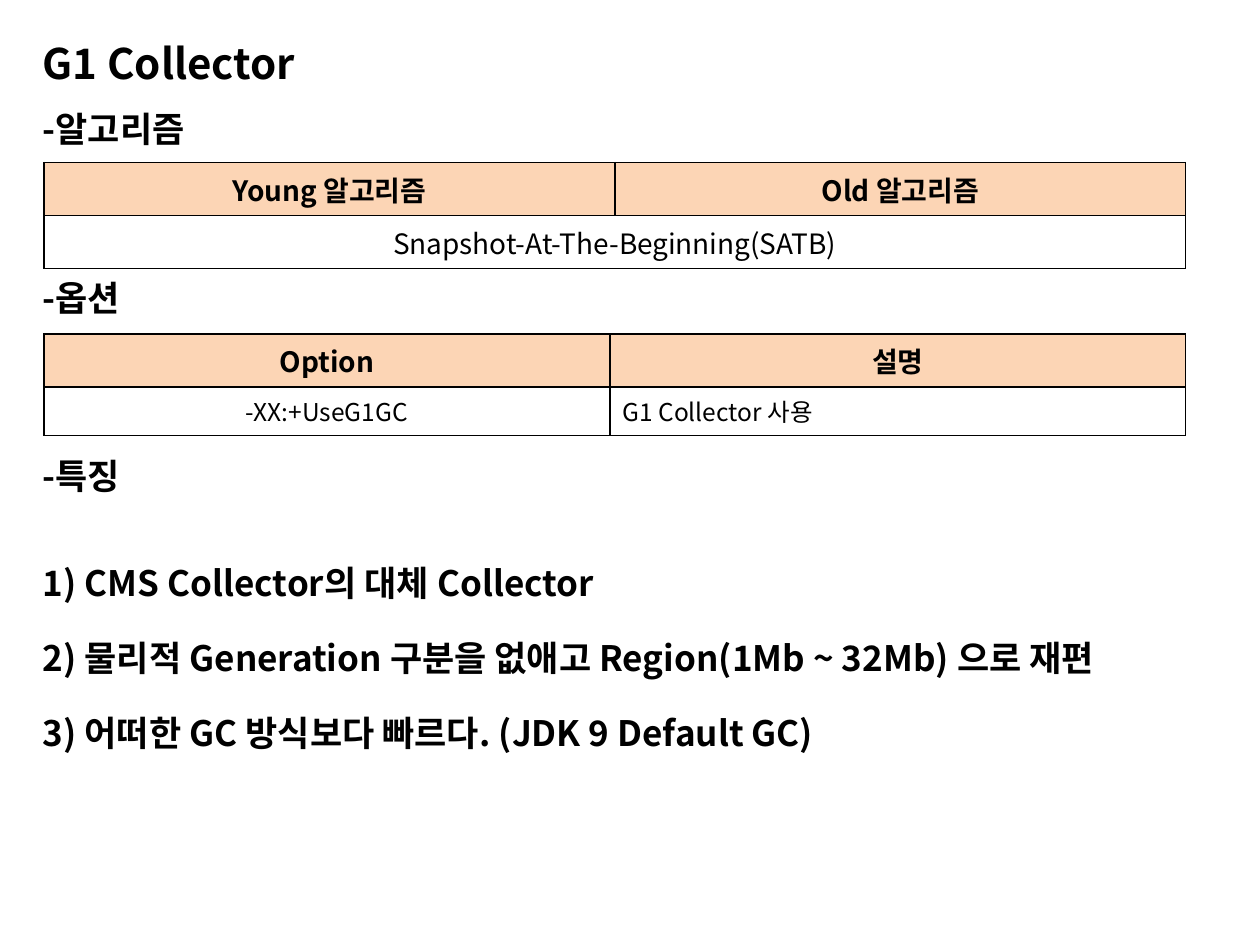
import pptx
import pptx.util
import pptx.dml.color
import pptx.enum.text
import pptx.oxml
import pptx.oxml.ns

Inches, Pt = pptx.util.Inches, pptx.util.Pt
Color = pptx.dml.color.RGBColor
Align = pptx.enum.text.PP_ALIGN
Anchor = pptx.enum.text.MSO_ANCHOR
Fit = pptx.enum.text.MSO_AUTO_SIZE

# Content
TITLE = "G1 Collector"
HEADS = [("-알고리즘", 0.76), ("-옵션", 2.1), ("-특징", 3.51)]
POINTS = [
    "1) CMS Collector의 대체 Collector",
    "2) 물리적 Generation 구분을 없애고 Region(1Mb ~ 32Mb) 으로 재편",
    "3) 어떠한 GC 방식보다 빠르다. (JDK 9 Default GC)",
]
TABLES = [
    {"top": 1.29, "cols": [4.53, 4.53], "rows": [0.41, 0.41], "style": "cell",
     "cells": [["Young 알고리즘", "Old 알고리즘"],
               ["Snapshot-At-The-Beginning(SATB)", None]],
     "align": [Align.CENTER, Align.CENTER]},
    {"top": 2.65, "cols": [4.49, 4.57], "rows": [0.41, 0.38], "style": "small",
     "cells": [["Option", "설명"], ["-XX:+UseG1GC", "G1 Collector 사용"]],
     "align": [Align.CENTER, Align.LEFT]},
]

# Theme
THEME = {
    "font": "Noto Sans CJK KR",
    "ink": Color.from_string("000000"),
    "head": Color.from_string("FCD5B5"),
    "plain": Color.from_string("FFFFFF"),
    "title": {"size": Pt(24), "bold": True},
    "text": {"size": Pt(20), "bold": True},
    "top": {"size": Pt(16), "bold": True},
    "cell": {"size": Pt(16), "bold": False},
    "small": {"size": Pt(14), "bold": False},
}
LEFT, INSET = 0.24, 0.35
GAP = Pt(19)


def apply(obj, vals):
    for key, val in vals.items():
        setattr(obj, key, val)


def write(para, text, style, align=Align.LEFT):
    apply(para, {"alignment": align, "space_before": Pt(0)})
    run = para.add_run()
    run.text = text
    apply(run.font, {"name": THEME["font"], **THEME[style]})
    run.font.color.rgb = THEME["ink"]
    east = pptx.oxml.parse_xml(
        f'<a:ea {pptx.oxml.ns.nsdecls("a")} typeface="{THEME["font"]}"/>')
    run.font._element.append(east)


def place(shape, left, top, width, height):
    apply(shape, {"left": Inches(left), "top": Inches(top),
                  "width": Inches(width), "height": Inches(height)})
    apply(shape.text_frame, {"word_wrap": True, "auto_size": Fit.NONE,
                             "vertical_anchor": Anchor.MIDDLE})


def border(cell):
    props = cell._tc.get_or_add_tcPr()
    for pos, side in enumerate("LRTB"):
        props.insert(pos, pptx.oxml.parse_xml(
            f'<a:ln{side} {pptx.oxml.ns.nsdecls("a")} w="{Pt(1)}"><a:solidFill>'
            f'<a:srgbClr val="{THEME["ink"]}"/></a:solidFill></a:ln{side}>'))


def grid(slide, data):
    cols, rows = data["cols"], data["rows"]
    table = slide.shapes.add_table(
        len(rows), len(cols), Inches(INSET), Inches(data["top"]),
        Inches(sum(cols)), Inches(sum(rows))).table
    for col, size in zip(table.columns, cols):
        col.width = Inches(size)
    for row, size in zip(table.rows, rows):
        row.height = Inches(size)
    for r, line in enumerate(data["cells"]):
        for c, text in enumerate(line):
            cell = table.cell(r, c)
            cell.vertical_anchor = Anchor.MIDDLE
            cell.fill.solid()
            cell.fill.fore_color.rgb = THEME["plain" if r else "head"]
            border(cell)
            if text is None:
                table.cell(r, c - 1).merge(cell)
            else:
                write(cell.text_frame.paragraphs[0], text,
                      data["style"] if r else "top",
                      data["align"][c] if r else Align.CENTER)


def main():
    deck = pptx.Presentation()
    apply(deck, {"slide_width": Inches(10), "slide_height": Inches(7.5)})
    slide = deck.slides.add_slide(deck.slide_layouts[1])

    # Title
    title = slide.shapes.title
    place(title, LEFT, 0.24, 3.66, 0.52)
    write(title.text_frame.paragraphs[0], TITLE, "title")

    # Tables and section heads
    for data in TABLES:
        grid(slide, data)
    for text, top in HEADS:
        box = slide.shapes.add_textbox(0, 0, 0, 0)
        place(box, LEFT, top, 2.01, 0.52)
        write(box.text_frame.paragraphs[0], text, "text")

    # Feature list
    body = slide.placeholders[1]
    place(body, LEFT, 3.7, 9.49, 3.04)
    frame = body.text_frame
    for num, text in enumerate(POINTS):
        para = frame.add_paragraph() if num else frame.paragraphs[0]
        write(para, text, "text")
        if num < len(POINTS) - 1:
            para.space_after = GAP
        props = para._p.get_or_add_pPr()
        props.set("marL", "0")
        props.set("indent", "0")
        props.append(pptx.oxml.parse_xml(
            f'<a:buNone {pptx.oxml.ns.nsdecls("a")}/>'))

    deck.save("out.pptx")


if __name__ == "__main__":
    main()
